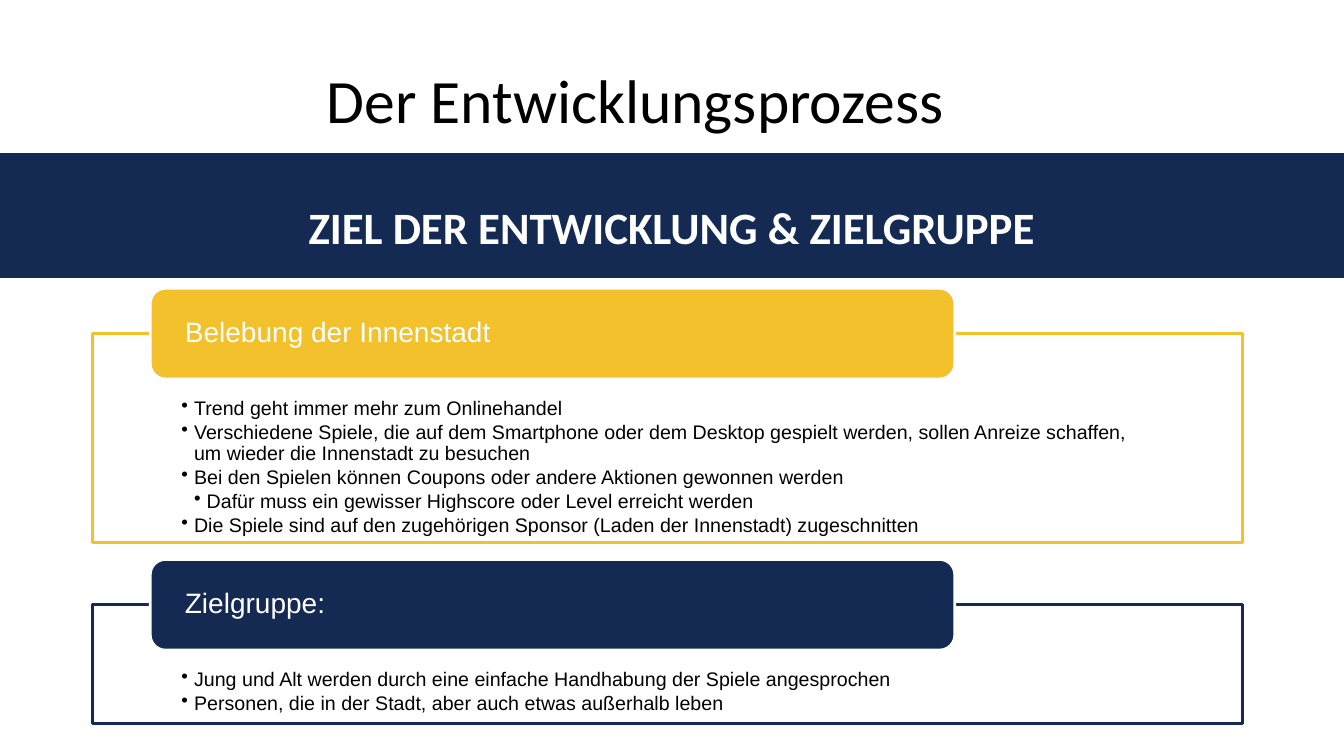
from lxml import etree
from pptx import Presentation
from pptx.dml.color import RGBColor
from pptx.enum import shapes, text
from pptx.oxml.ns import qn
from pptx.util import Inches, Pt

NAVY = RGBColor(0x14, 0x2A, 0x52)
YELLOW = RGBColor(0xF2, 0xC1, 0x2C)
WHITE = RGBColor(0xFF, 0xFF, 0xFF)
BLACK = RGBColor(0, 0, 0)

SLIDE_WIDTH = 13.33
PANEL_LEFT, PANEL_WIDTH = 0.92, 11.4
HEADER_HEIGHT = 0.9
HEADER_OVERLAP = 0.45
BULLET_INDENT = 0.125

# Heading, colour, top, height, and bullets as (level, wording)
PANELS = [
    ("Belebung der Innenstadt", YELLOW, 3.31, 2.07, [
        (1, "Trend geht immer mehr zum Onlinehandel"),
        (1, "Verschiedene Spiele, die auf dem Smartphone oder dem Desktop gespielt "
            "werden, sollen Anreize schaffen, um wieder die Innenstadt zu besuchen"),
        (1, "Bei den Spielen können Coupons oder andere Aktionen gewonnen werden"),
        (2, "Dafür muss ein gewisser Highscore oder Level erreicht werden"),
        (1, "Die Spiele sind auf den zugehörigen Sponsor (Laden der Innenstadt) "
            "zugeschnitten"),
    ]),
    ("Zielgruppe:", NAVY, 6, 1.18, [
        (1, "Jung und Alt werden durch eine einfache Handhabung der Spiele "
            "angesprochen"),
        (1, "Personen, die in der Stadt, aber auch etwas außerhalb leben"),
    ]),
]


def add_box(page, kind, box, fill, line):
    shape = page.shapes.add_shape(kind, *map(Inches, box))
    shape.shadow.inherit = False
    shape.fill.solid()
    shape.fill.fore_color.rgb = fill
    shape.line.color.rgb = line
    shape.line.width = Pt(2)
    return shape


def set_frame(frame, margins, anchor):
    """Wrap the text, with margins in inches as left, top, right, bottom."""
    frame.word_wrap = True
    frame.auto_size = text.MSO_AUTO_SIZE.NONE
    frame.vertical_anchor = anchor
    (frame.margin_left, frame.margin_top,
     frame.margin_right, frame.margin_bottom) = map(Inches, margins)


def write(para, wording, font, size, color, bold=False,
          align=text.PP_ALIGN.LEFT, before=0, after=0):
    para.alignment = align
    para.line_spacing = 0.9
    para.space_before, para.space_after = Pt(before), Pt(after)
    span = para.add_run()
    span.text = wording
    span.font.name, span.font.size, span.font.bold = font, Pt(size), bold
    span.font.color.rgb = color


def set_bullet(para, level):
    para.level = level
    props = para._p.get_or_add_pPr()
    props.set("marL", str(Inches(BULLET_INDENT * level)))
    props.set("indent", str(-Inches(BULLET_INDENT)))
    etree.SubElement(props, qn("a:buChar"), char="•")


def fill_placeholder(holder, box, anchor, wording, size, color, **style):
    holder.left, holder.top, holder.width, holder.height = map(Inches, box)
    set_frame(holder.text_frame, (0.1, 0.05, 0.1, 0.05), anchor)
    para = holder.text_frame.paragraphs[0]
    write(para, wording, "Calibri", size, color, **style)
    return para


def add_heading(page):
    band = add_box(page, shapes.MSO_SHAPE.RECTANGLE, (0, 1.53, SLIDE_WIDTH, 1.21),
                   NAVY, NAVY)
    page.shapes._spTree.insert(2, band._element)  # behind the placeholders
    fill_placeholder(page.shapes.title, (3.14, 0.3, 7.05, 1.45),
                     text.MSO_ANCHOR.MIDDLE, "Der Entwicklungsprozess", 44, BLACK)
    para = fill_placeholder(page.placeholders[1], (2.71, 1.67, 7.91, 0.9),
                            text.MSO_ANCHOR.BOTTOM,
                            "ZIEL DER ENTWICKLUNG & ZIELGRUPPE", 32, WHITE,
                            bold=True, align=text.PP_ALIGN.CENTER, before=10)
    props = para._p.get_or_add_pPr()
    props.set("marL", "0")
    props.set("indent", "0")
    etree.SubElement(props, qn("a:buNone"))


def add_panel(page, heading, color, top, height, bullets):
    """Draw a framed list with a header tab across its top edge."""
    frame_box = add_box(page, shapes.MSO_SHAPE.RECTANGLE,
                        (PANEL_LEFT, top, PANEL_WIDTH, height), WHITE, color)
    fill_color = frame_box.fill._xPr.find(qn("a:solidFill"))[0]
    etree.SubElement(fill_color, qn("a:alpha"), val="90000")
    frame = frame_box.text_frame
    set_frame(frame, (0.88, 0.64, 0.88, 0.11), text.MSO_ANCHOR.TOP)
    for index, (level, wording) in enumerate(bullets):
        para = frame.add_paragraph() if index else frame.paragraphs[0]
        write(para, wording, "Arial", 14, BLACK, after=2.1)
        set_bullet(para, level)

    tab = add_box(page, shapes.MSO_SHAPE.ROUNDED_RECTANGLE,
                  (PANEL_LEFT + 0.57, top - HEADER_OVERLAP,
                   PANEL_WIDTH * 0.7, HEADER_HEIGHT), color, WHITE)
    set_frame(tab.text_frame, (0.3, 0, 0.3, 0), text.MSO_ANCHOR.MIDDLE)
    write(tab.text_frame.paragraphs[0], heading, "Arial", 20, WHITE)


def main():
    deck = Presentation()
    deck.slide_width, deck.slide_height = Inches(SLIDE_WIDTH), Inches(7.5)
    page = deck.slides.add_slide(deck.slide_layouts[1])
    add_heading(page)
    for panel in PANELS:
        add_panel(page, *panel)
    deck.save("out.pptx")


if __name__ == "__main__":
    main()
